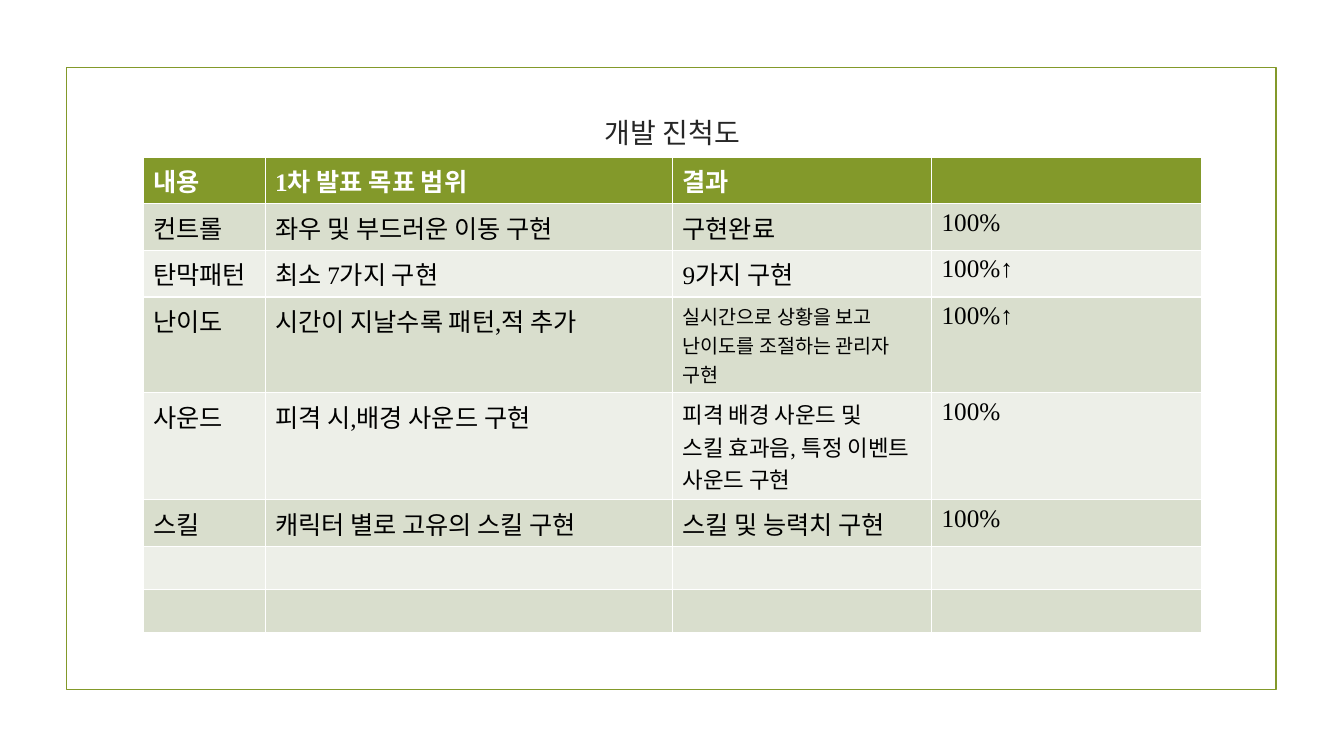
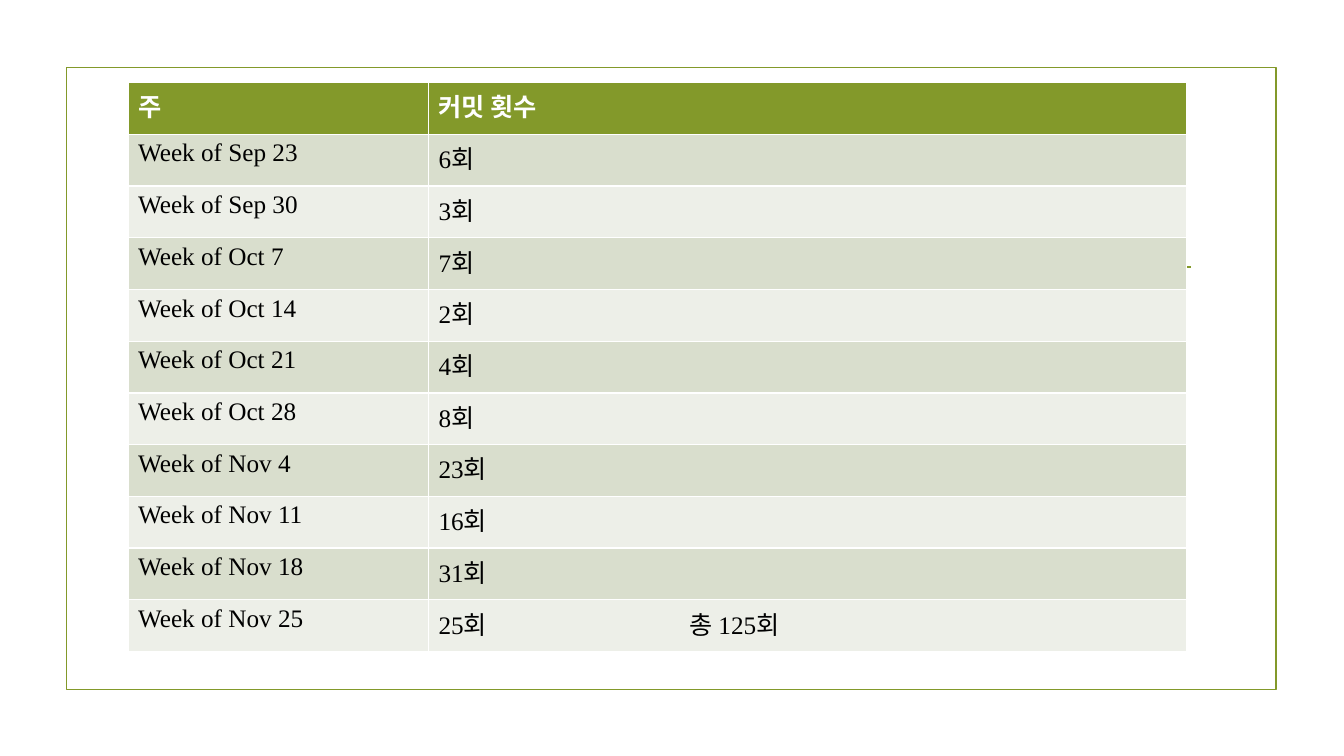
from lxml.etree import SubElement
from pptx import Presentation
from pptx.dml.color import RGBColor
from pptx.enum.shapes import MSO_CONNECTOR, MSO_SHAPE
from pptx.enum.text import MSO_ANCHOR, PP_ALIGN
from pptx.oxml.ns import qn
from pptx.util import Inches, Pt

FONT = "Times New Roman"
GREEN, WHITE, BLACK, TITLE_GRAY = "83992A", "FFFFFF", "000000", "262626"
BANDS = ["EDEFE8", "D9DECD"]


def color(hex_text):
    return RGBColor.from_string(hex_text)


def add_filled_table(slide, left, top, widths, row_height, rows, sizes):
    """Add a banded table; sizes maps (row, column) to a size other than 18."""
    table = slide.shapes.add_table(
        len(rows), len(widths), Inches(left), Inches(top),
        Inches(sum(widths)), Inches(row_height * len(rows))).table
    for column, width in zip(table.columns, widths):
        column.width = Inches(width)
    for row_index, texts in enumerate(rows):
        header = row_index == 0
        for column_index, text in enumerate(texts):
            cell = table.cell(row_index, column_index)
            cell.fill.solid()
            cell.fill.fore_color.rgb = color(GREEN if header else BANDS[row_index % 2])
            cell.text = text
            for paragraph in cell.text_frame.paragraphs:
                paragraph.font.name = FONT
                paragraph.font.size = Pt(sizes.get((row_index, column_index), 18))
                paragraph.font.bold = header
                paragraph.font.color.rgb = color(WHITE if header else BLACK)
    return table


presentation = Presentation()
presentation.slide_width = Inches(13.33)
presentation.slide_height = Inches(7.5)
title_only, blank = presentation.slide_layouts[5], presentation.slide_layouts[6]
progress_slide = presentation.slides.add_slide(title_only)
commit_slide = presentation.slides.add_slide(blank)

# Shared frame and rule, moved to the master behind its placeholders
frame = progress_slide.shapes.add_shape(
    MSO_SHAPE.RECTANGLE, Inches(0.66), Inches(0.67), Inches(12), Inches(6.17))
frame.shadow.inherit = False
frame.fill.background()
rule = progress_slide.shapes.add_connector(
    MSO_CONNECTOR.STRAIGHT, Inches(1.53), Inches(2.65), Inches(11.81), Inches(2.65))
for index, shape in enumerate([frame, rule]):
    shape.line.color.rgb = color(GREEN)
    shape.line.width = Pt(1.25)
    shape.element.xpath(".//p:cNvPr")[0].set("id", str(101 + index))
    presentation.slide_master.shapes.element.insert(2 + index, shape.element)
SubElement(rule.element.spPr, qn("a:effectLst"))

# Slide 1: development progress
title = progress_slide.shapes.title
title.left, title.top = Inches(1.42), Inches(1.07)
title.width, title.height = Inches(10.5), Inches(0.49)
title.text_frame.text = "개발 진척도"
title.text_frame.vertical_anchor = MSO_ANCHOR.MIDDLE
paragraph = title.text_frame.paragraphs[0]
paragraph.alignment = PP_ALIGN.CENTER
paragraph.font.name = FONT
paragraph.font.size = Pt(20)
paragraph.font.color.rgb = color(TITLE_GRAY)

progress_rows = [
    ["내용", "1차 발표 목표 범위", "결과", ""],
    ["컨트롤", "좌우 및 부드러운 이동 구현", "구현완료", "100%"],
    ["탄막패턴", "최소 7가지 구현", "9가지 구현", "100%↑"],
    ["난이도", "시간이 지날수록 패턴,적 추가",
     "실시간으로 상황을 보고 난이도를 조절하는 관리자 구현", "100%↑"],
    ["사운드", "피격 시,배경 사운드 구현",
     "피격 배경 사운드 및\n스킬 효과음, 특정 이벤트 사운드 구현", "100%"],
    ["스킬", "캐릭터 별로 고유의 스킬 구현", "스킬 및 능력치 구현", "100%"],
    [""] * 4,
    [""] * 4,
]
add_filled_table(progress_slide, 1.42, 1.56, [1.21, 4.04, 2.57, 2.68], 0.43,
                 progress_rows, {(3, 2): 14, (4, 2): 16})

# Slide 2: commits per week
commits = [("Sep 23", 6), ("Sep 30", 3), ("Oct 7", 7), ("Oct 14", 2), ("Oct 21", 4),
           ("Oct 28", 8), ("Nov 4", 23), ("Nov 11", 16), ("Nov 18", 31), ("Nov 25", 25)]
commit_rows = [["주", "커밋 횟수"]]
commit_rows += [[f"Week of {week}", f"{count}회"] for week, count in commits]
total = sum(count for week, count in commits)
commit_rows[-1][1] += f"\t총 {total}회"
commit_table = add_filled_table(commit_slide, 1.27, 0.82, [2.98, 7.52], 0.513,
                                commit_rows, {})

# Tab stop that sets the total apart from the last count
last_cell = commit_table.cell(len(commits), 1)
properties = last_cell.text_frame.paragraphs[0].font._element.getparent()
tab_list = properties.makeelement(qn("a:tabLst"), {})
SubElement(tab_list, qn("a:tab"), pos=str(Inches(2.49)), algn="l")
properties.insert(0, tab_list)

presentation.save("out.pptx")
